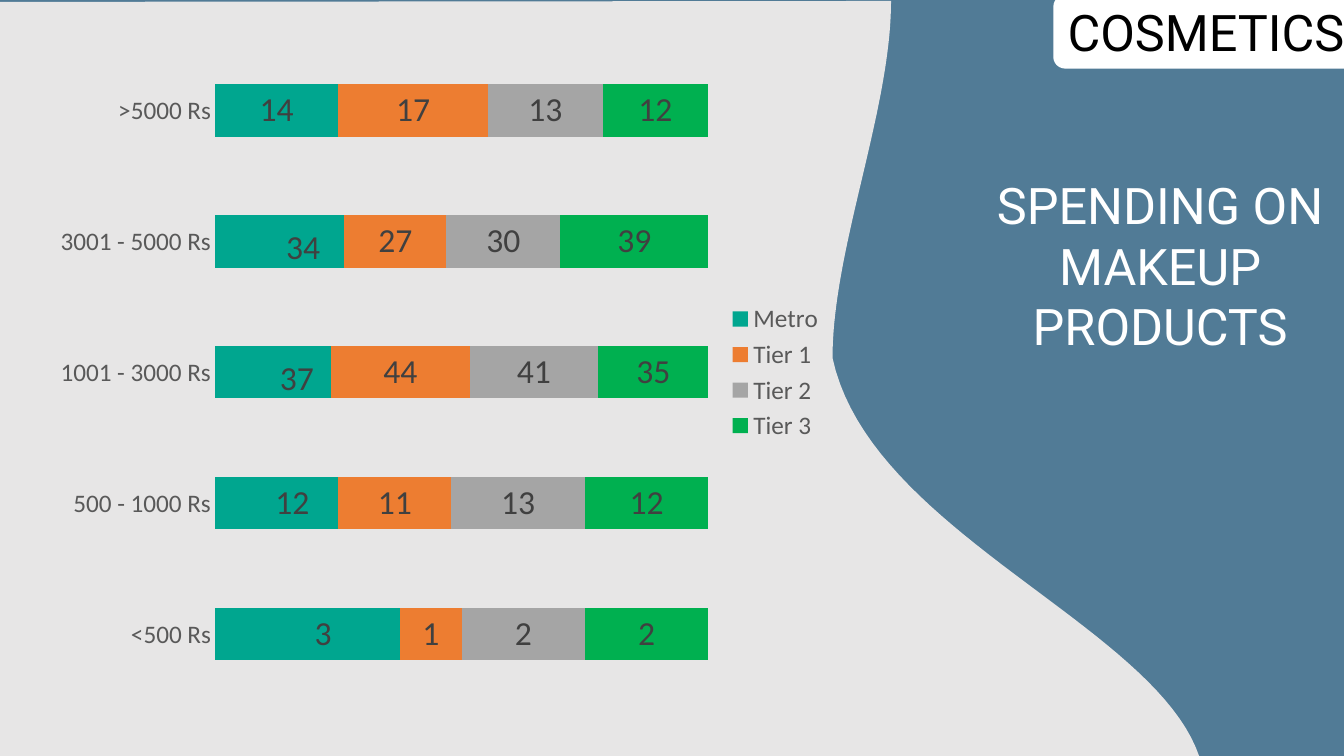
from collections import namedtuple
from dataclasses import dataclass
from lxml import etree
from pptx import Presentation
from pptx.chart.data import CategoryChartData as Data
from pptx.dml.color import RGBColor as Rgb
from pptx.enum.chart import XL_CHART_TYPE as Kind, XL_LEGEND_POSITION as Side
from pptx.enum.chart import XL_TICK_MARK as Tick
from pptx.enum.shapes import MSO_SHAPE as Form
from pptx.enum.text import MSO_ANCHOR as Anchor, PP_ALIGN as Align
from pptx.oxml.ns import qn
from pptx.util import Pt

Box = namedtuple("Box", "x y w h")


@dataclass(frozen=True)
class Theme:
    back: str = "517B96"
    panel: str = "E7E6E6"
    light: str = "FFFFFF"
    dark: str = "000000"
    axis: str = "595959"
    label: str = "404040"
    bars: tuple = ("00A68F", "ED7D31", "A5A5A5", "00B050")
    head: str = "Roboto"
    body: str = "Calibri"
    big: int = 36
    mid: int = 24
    small: int = 18


THEME = Theme()
BANDS = ("<500 Rs", "500 - 1000 Rs", "1001 - 3000 Rs", "3001 - 5000 Rs", ">5000 Rs")
CITIES = {
    "Metro": (3, 12, 37, 34, 14),
    "Tier 1": (1, 11, 44, 27, 17),
    "Tier 2": (2, 13, 41, 30, 13),
    "Tier 3": (2, 12, 35, 39, 12),
}
SHIFTS = ((0.02, 0), (0.02, 0), (0.03, 0.01), (0.03, 0.01))
PLOT = Box(0.215, 0.02, 0.625, 0.96)


def paint(shape, color):
    shape.shadow.inherit = False
    shape.fill.solid()
    shape.fill.fore_color.rgb = Rgb.from_string(color)
    shape.line.fill.background()


def style(font, face, size, color):
    font.name = face
    font.size = Pt(size)
    font.color.rgb = Rgb.from_string(color)


def curve(a, b, c, d, steps=40):
    for i in range(1, steps + 1):
        t = i / steps
        u = 1 - t
        yield tuple(
            u**3 * p + 3 * u * u * t * q + 3 * u * t * t * r + t**3 * s
            for p, q, r, s in zip(a, b, c, d)
        )


def wave(slide, box):
    top, waist, foot = (636.5, 0), (594.7, 255), (box.w, box.h)
    edge = [top]
    edge += curve(top, (636.5, 78), (594.7, 177), waist)
    edge += curve(waist, (621.4, 379.5), (825.1, 445.7), foot)
    edge += [(0, box.h)]
    spots = [(Pt(box.x + x), Pt(box.y + y)) for x, y in edge]
    pen = slide.shapes.build_freeform(Pt(box.x), Pt(box.y + 0.7))
    pen.add_line_segments(spots, close=True)
    paint(pen.convert_to_shape(), THEME.panel)


def panel(slide, box, form, text, fill, ink):
    shape = slide.shapes.add_shape(form, *map(Pt, box))
    paint(shape, fill)
    frame = shape.text_frame
    frame.word_wrap = True
    frame.vertical_anchor = Anchor.MIDDLE
    para = frame.paragraphs[0]
    para.alignment = Align.CENTER
    run = para.add_run()
    run.text = text
    style(run.font, THEME.head, THEME.big, ink)
    return shape


def layout(host, spot, parts):
    for old in host.findall(qn("c:layout")):
        host.remove(old)
    node = etree.Element(qn("c:layout"))
    area = etree.SubElement(node, qn("c:manualLayout"))
    for tag, val in parts:
        etree.SubElement(area, qn("c:" + tag)).set("val", str(val))
    host.insert(spot, node)


def spend(slide, box):
    data = Data()
    data.categories = BANDS
    for name, vals in CITIES.items():
        data.add_series(name, vals)
    chart = slide.shapes.add_chart(Kind.BAR_STACKED_100, *map(Pt, box), data).chart
    chart.has_title = False
    style(chart.font, THEME.body, 10, THEME.dark)

    chart.has_legend = True
    chart.legend.position = Side.RIGHT
    chart.legend.include_in_layout = False
    style(chart.legend.font, THEME.body, THEME.small, THEME.axis)

    cats = chart.category_axis
    cats.major_tick_mark = cats.minor_tick_mark = Tick.NONE
    cats.format.line.fill.background()
    style(cats.tick_labels.font, THEME.body, THEME.small, THEME.axis)
    chart.value_axis.visible = False
    chart.value_axis.has_major_gridlines = False

    plot = chart.plots[0]
    plot.gap_width, plot.overlap = 150, 100
    plot.vary_by_categories = False
    for bar, color in zip(plot.series, THEME.bars):
        bar.format.fill.solid()
        bar.format.fill.fore_color.rgb = Rgb.from_string(color)
        bar.data_labels.show_value = True
        style(bar.data_labels.font, THEME.body, THEME.mid, THEME.label)

    metro = plot.series[0]
    for i in range(len(SHIFTS)):
        style(metro.points[i].data_label.font, THEME.body, THEME.mid, THEME.label)
    for node, (x, y) in zip(chart.element.xpath(".//c:dLbl"), SHIFTS):
        layout(node, 1, (("x", x), ("y", y)))
    layout(chart.element.xpath(".//c:plotArea")[0], 0, (
        ("layoutTarget", "inner"), ("xMode", "edge"), ("yMode", "edge"),
        *zip("xywh", PLOT),
    ))


def main():
    deck = Presentation()
    deck.slide_width, deck.slide_height = Pt(960), Pt(540)
    slide = deck.slides.add_slide(deck.slide_layouts[6])
    slide.background.fill.solid()
    slide.background.fill.fore_color.rgb = Rgb.from_string(THEME.back)
    wave(slide, Box(0, 0.7, 856.8, 540))
    tab = panel(slide, Box(752.4, -3.6, 218.2, 52.6), Form.ROUNDED_RECTANGLE,
                "COSMETICS", THEME.light, THEME.dark)
    tab.adjustments[0] = 0.16
    panel(slide, Box(697.7, 108.7, 262.1, 161.3), Form.RECTANGLE,
          "SPENDING ON MAKEUP PRODUCTS", THEME.back, THEME.light)
    spend(slide, Box(32.4, 22.3, 563.8, 487.4))
    deck.save("out.pptx")


if __name__ == "__main__":
    main()
